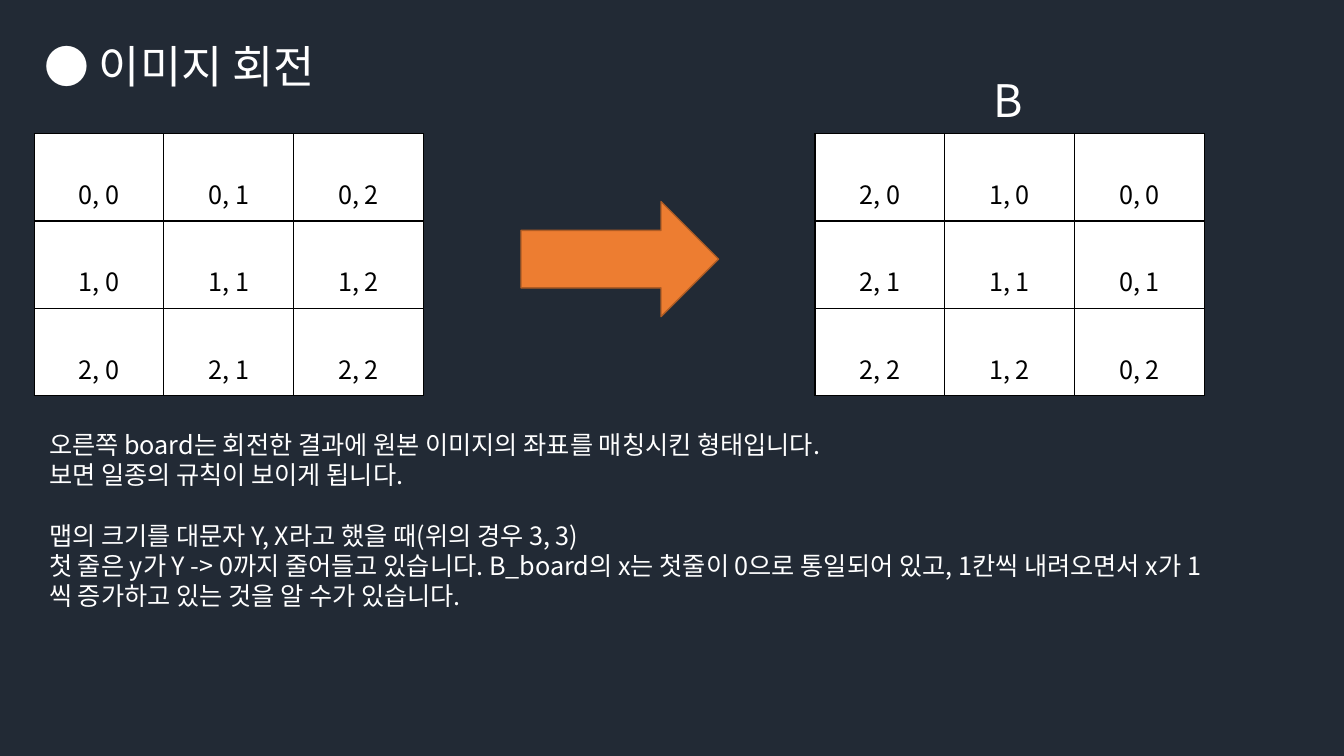
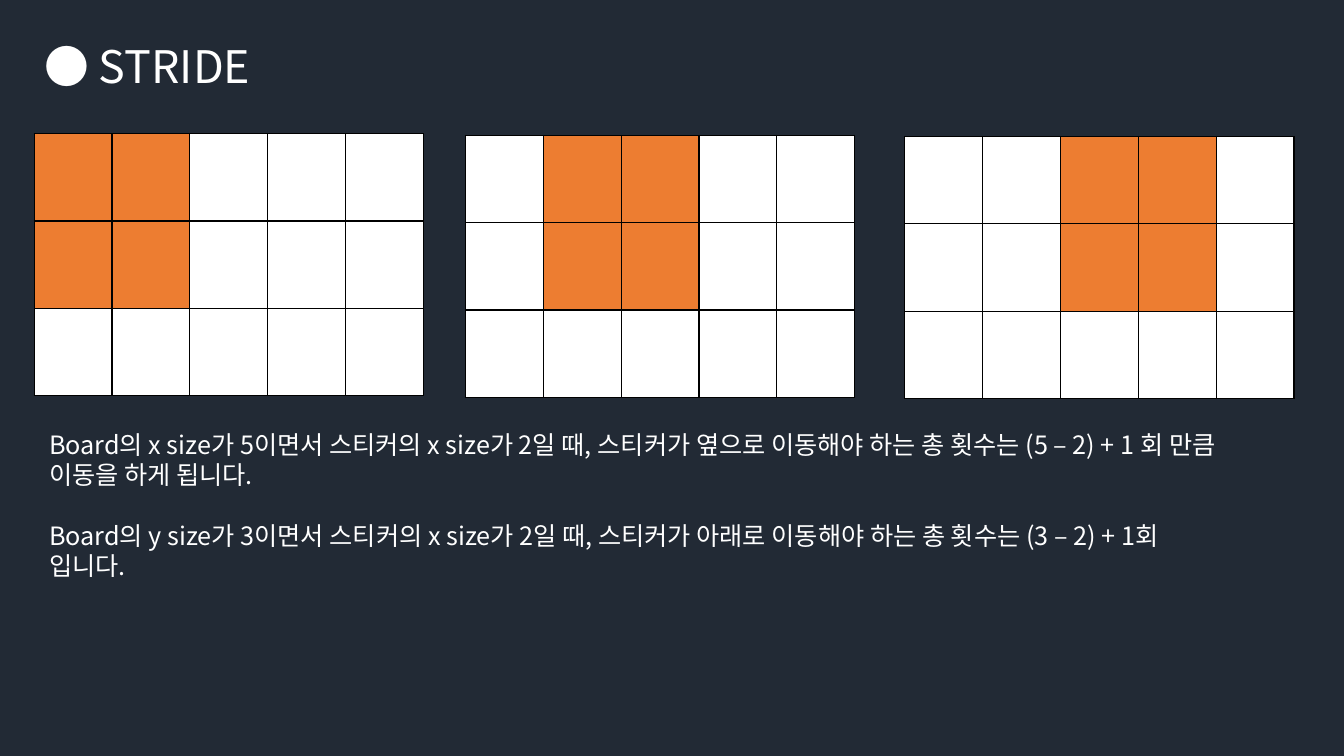
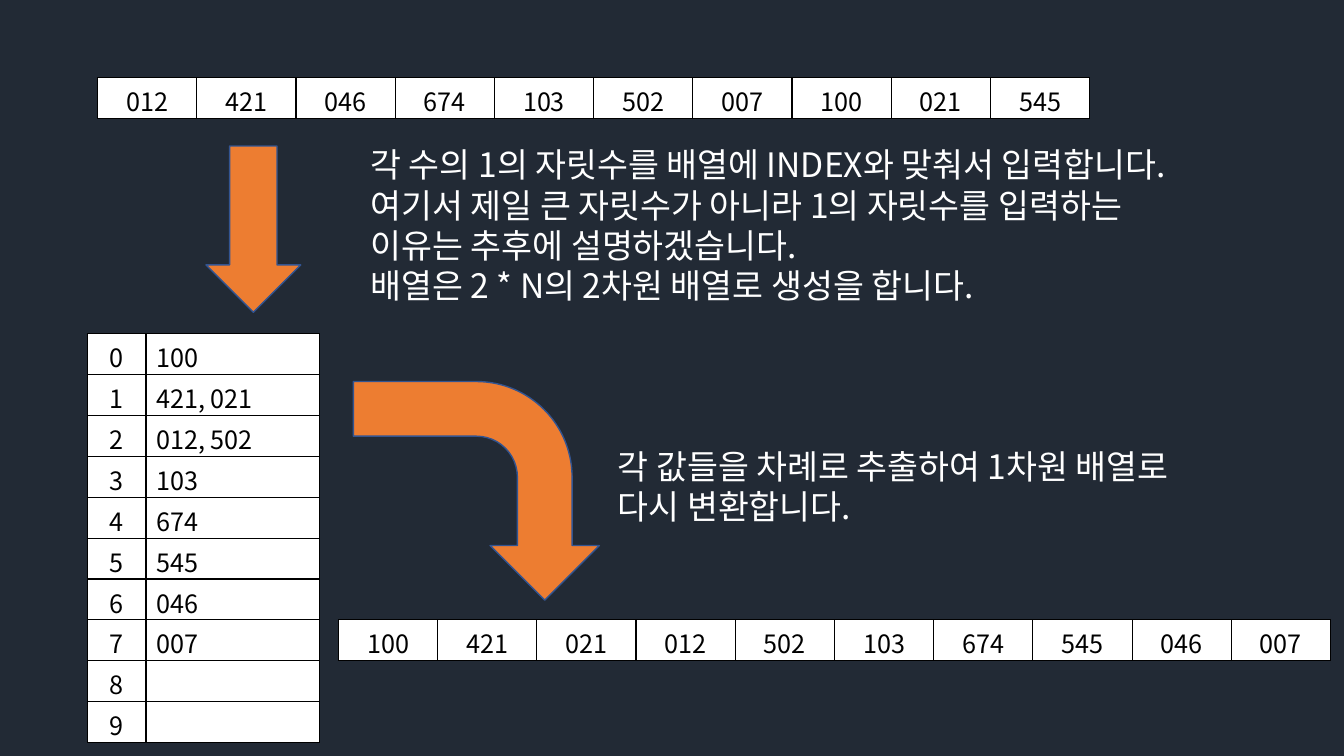
"""Build three slides on image rotation, sticker stride and radix sort."""
from dataclasses import dataclass

from lxml import etree
from pptx import Presentation
from pptx import util as u
from pptx.dml import color
from pptx.enum import shapes, text
from pptx.oxml import ns

FONT = "Noto Sans CJK KR"
COLORS = {
    "background": "222A35",
    "white": "FFFFFF",
    "black": "000000",
    "orange": "ED7D31",
    "rust": "AF5C24",
    "blue": "325491",
}
BOARD_WIDTH, BOARD_ROW = 9.81, 2.2
ARRAY_COLUMN, ARRAY_ROW = 2.5, 1.03
CENTER, LEFT = text.PP_ALIGN.CENTER, text.PP_ALIGN.LEFT


@dataclass(frozen=True)
class Box:
    left: float
    top: float
    width: float
    height: float

    def lengths(self) -> list:
        return [u.Cm(side) for side in (self.left, self.top, self.width, self.height)]


@dataclass(frozen=True)
class Grid:
    left: float
    top: float
    widths: list[float]
    row_height: float
    rows: list[list[str]]
    margin_top: float = 0.12
    aligns: tuple = ()
    marked: frozenset = frozenset()


@dataclass(frozen=True)
class Arrow:
    kind: shapes.MSO_SHAPE
    box: Box
    line: str
    rotation: int = 0


TITLE = Box(0.86, 0.86, 8.15, 1.63)


def rgb(name: str) -> color.RGBColor:
    return color.RGBColor.from_string(COLORS[name])


def write(paragraph, content: str, *, size: float = 18, ink: str = "white",
          align=LEFT, before: float = 0) -> None:
    paragraph.alignment = align
    paragraph.space_before = u.Pt(before)
    run = paragraph.add_run()
    run.text = content
    run.font.size = u.Pt(size)
    run.font.name = FONT
    run.font.color.rgb = rgb(ink)


def add_text(slide, box: Box, *blocks: list[str], size: float = 18) -> None:
    frame = slide.shapes.add_textbox(*box.lengths()).text_frame
    frame.word_wrap = True
    paragraph = frame.paragraphs[0]
    for block_index, block in enumerate(blocks):
        for line_index, line in enumerate(block):
            if block_index or line_index:
                paragraph = frame.add_paragraph()
            gap = size * 1.2 if block_index and not line_index else 0
            write(paragraph, line, size=size, before=gap)


def add_borders(cell) -> None:
    properties = cell._tc.get_or_add_tcPr()
    for index, side in enumerate(("lnL", "lnR", "lnT", "lnB")):
        border = etree.Element(ns.qn(f"a:{side}"), w=str(u.Pt(1)))
        fill = etree.SubElement(border, ns.qn("a:solidFill"))
        etree.SubElement(fill, ns.qn("a:srgbClr"), val=COLORS["black"])
        properties.insert(index, border)


def add_grid(slide, grid: Grid) -> None:
    box = Box(grid.left, grid.top, sum(grid.widths), grid.row_height * len(grid.rows))
    table = slide.shapes.add_table(len(grid.rows), len(grid.widths), *box.lengths()).table
    table.first_row = table.horz_banding = False
    for column, width in zip(table.columns, grid.widths):
        column.width = u.Cm(width)
    for row_index, row in enumerate(grid.rows):
        table.rows[row_index].height = u.Cm(grid.row_height)
        for column_index, content in enumerate(row):
            cell = table.cell(row_index, column_index)
            cell.margin_top, cell.margin_bottom = u.Cm(grid.margin_top), 0
            cell.fill.solid()
            marked = (row_index, column_index) in grid.marked
            cell.fill.fore_color.rgb = rgb("orange" if marked else "white")
            add_borders(cell)
            if content:
                align = grid.aligns[column_index] if grid.aligns else CENTER
                write(cell.text_frame.paragraphs[0], content, ink="black", align=align)


def add_arrow(slide, arrow: Arrow) -> None:
    shape = slide.shapes.add_shape(arrow.kind, *arrow.box.lengths())
    shape.shadow.inherit = False
    shape.rotation = arrow.rotation
    shape.fill.solid()
    shape.fill.fore_color.rgb = rgb("orange")
    shape.line.color.rgb = rgb(arrow.line)
    shape.line.width = u.Pt(1)


def coordinate_board(left: float, rows: list[list[str]]) -> Grid:
    return Grid(left, 3.37, [BOARD_WIDTH / 3] * 3, BOARD_ROW, rows, margin_top=1.05)


def stride_board(left: float, top: float, offset: int) -> Grid:
    sticker = frozenset((y, x + offset) for y in range(2) for x in range(2))
    return Grid(left, top, [BOARD_WIDTH / 5] * 5, BOARD_ROW, [[""] * 5] * 3, marked=sticker)


def number_array(left: float, top: float, numbers: str) -> Grid:
    return Grid(left, top, [ARRAY_COLUMN] * 10, ARRAY_ROW, [numbers.split()])


def build_rotation(slide) -> None:
    add_text(slide, TITLE, ["● 이미지 회전"], size=32)
    add_grid(slide, coordinate_board(0.86, [[f"{y}, {x}" for x in range(3)] for y in range(3)]))
    add_grid(slide, coordinate_board(20.54, [[f"{2 - x}, {y}" for x in range(3)] for y in range(3)]))
    add_arrow(slide, Arrow(shapes.MSO_SHAPE.RIGHT_ARROW, Box(13.13, 5.08, 4.98, 2.9), "rust"))
    add_text(
        slide, Box(0.99, 10.69, 30.05, 5.64),
        ["오른쪽 board는 회전한 결과에 원본 이미지의 좌표를 매칭시킨 형태입니다.",
         "보면 일종의 규칙이 보이게 됩니다."],
        ["맵의 크기를 대문자 Y, X라고 했을 때(위의 경우 3, 3)",
         "첫 줄은 y가 Y -> 0까지 줄어들고 있습니다. B_board의 x는 첫줄이 0으로 통일되어 있고, "
         "1칸씩 내려오면서 x가 1씩 증가하고 있는 것을 알 수가 있습니다."],
    )
    add_text(slide, Box(24.79, 1.7, 1.24, 1.63), ["B"], size=32)


def build_stride(slide) -> None:
    add_text(slide, TITLE, ["● STRIDE"], size=32)
    for offset, (left, top) in enumerate([(0.86, 3.37), (11.73, 3.41), (22.8, 3.44)]):
        add_grid(slide, stride_board(left, top, offset))
    add_text(
        slide, Box(0.99, 10.69, 30.05, 4.11),
        ["Board의 x size가 5이면서 스티커의 x size가 2일 때, 스티커가 옆으로 이동해야 하는 "
         "총 횟수는 (5 – 2) + 1 회 만큼 이동을 하게 됩니다."],
        ["Board의 y size가 3이면서 스티커의 x size가 2일 때, 스티커가 아래로 이동해야 하는 "
         "총 횟수는 (3 – 2) + 1회 입니다."],
    )


def build_radix_sort(slide) -> None:
    add_text(
        slide, Box(9.09, 3.51, 30.05, 4.37),
        ["각 수의 1의 자릿수를 배열에 INDEX와 맞춰서 입력합니다.",
         "여기서 제일 큰 자릿수가 아니라 1의 자릿수를 입력하는",
         "이유는 추후에 설명하겠습니다.",
         "배열은 2 * N의 2차원 배열로 생성을 합니다."],
        size=24,
    )
    add_arrow(slide, Arrow(shapes.MSO_SHAPE.DOWN_ARROW, Box(5.19, 3.68, 2.39, 4.19), "blue"))
    add_grid(slide, number_array(2.46, 1.96, "012 421 046 674 103 502 007 100 021 545"))
    buckets = ["100", "421, 021", "012, 502", "103", "674", "545", "046", "007", "", ""]
    bucket_rows = [[str(digit), numbers] for digit, numbers in enumerate(buckets)]
    add_grid(slide, Grid(2.21, 8.41, [1.47, 4.37], ARRAY_ROW, bucket_rows, aligns=(CENTER, LEFT)))
    add_grid(slide, number_array(8.53, 15.62, "100 421 021 012 502 103 674 545 046 007"))
    add_arrow(slide, Arrow(shapes.MSO_SHAPE.BENT_ARROW, Box(9.25, 9.27, 5.51, 6.2), "blue", 90))
    add_text(
        slide, Box(15.32, 11.1, 17.2, 2.31),
        ["각 값들을 차례로 추출하여 1차원 배열로", "다시 변환합니다."],
        size=24,
    )


def main() -> None:
    presentation = Presentation()
    presentation.slide_width, presentation.slide_height = u.Cm(33.87), u.Cm(19.05)
    background = presentation.slide_master.background.fill
    background.solid()
    background.fore_color.rgb = rgb("background")
    for build in (build_rotation, build_stride, build_radix_sort):
        build(presentation.slides.add_slide(presentation.slide_layouts[6]))
    presentation.save("out.pptx")


main()
